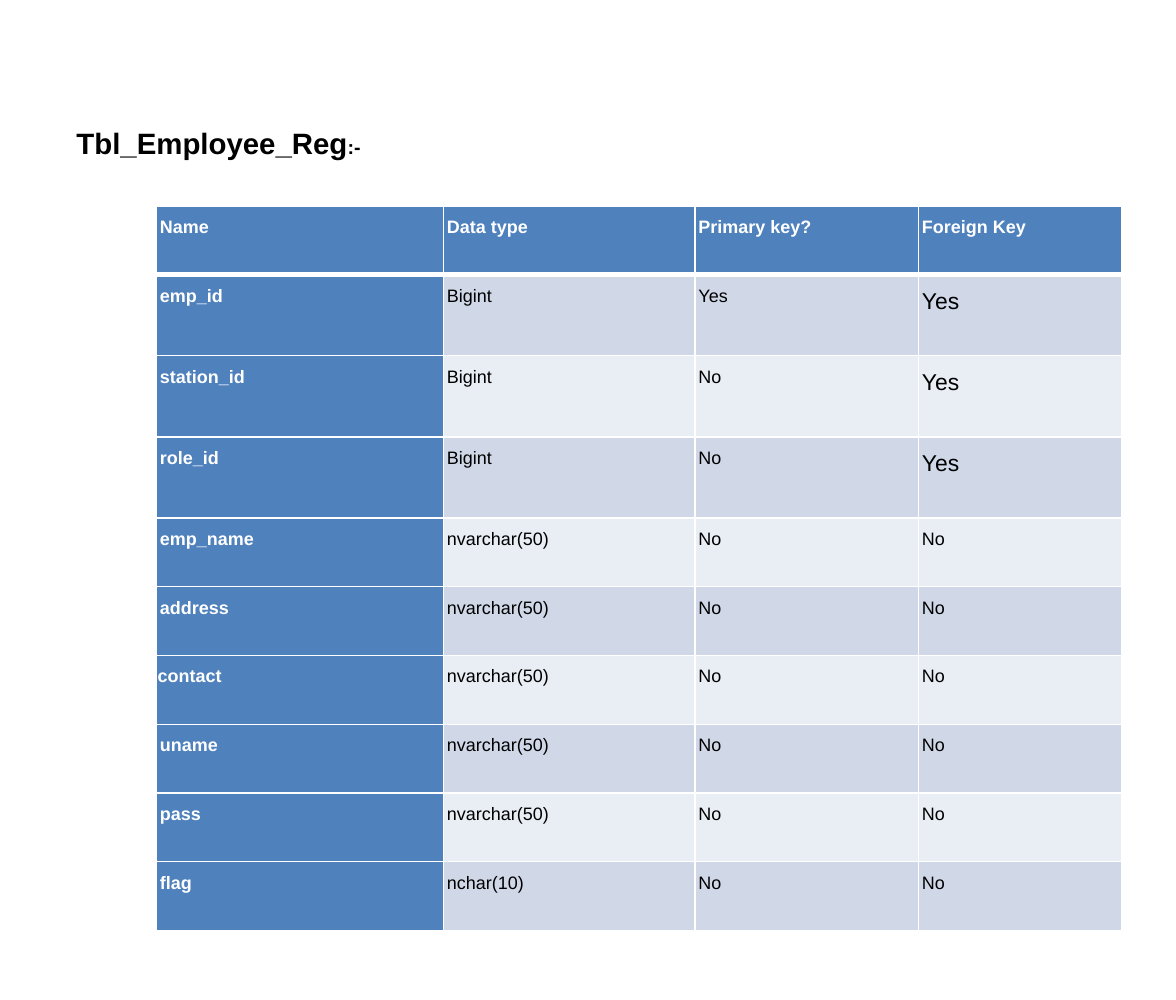
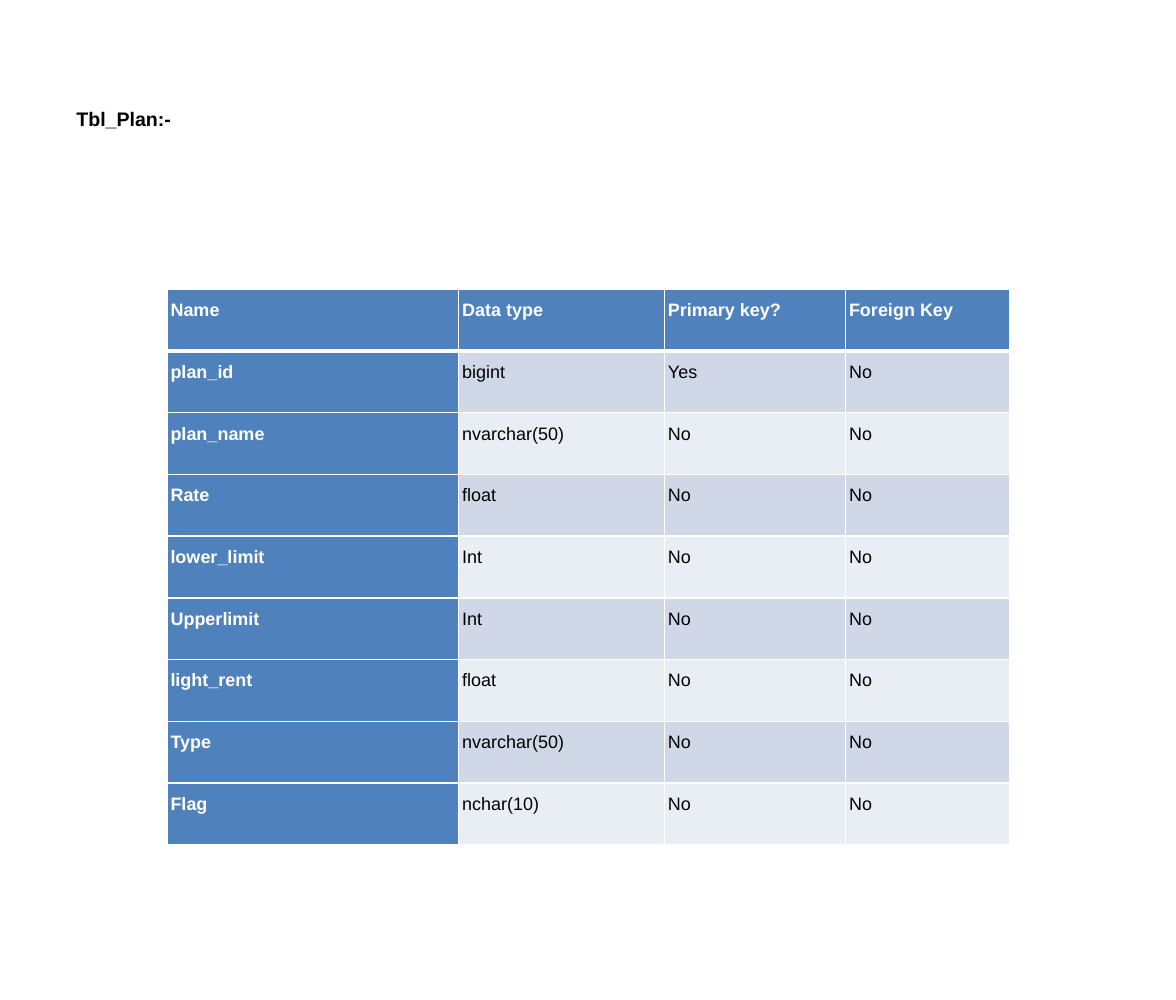
from dataclasses import dataclass
from lxml.etree import SubElement
from pptx import Presentation
from pptx.dml.color import RGBColor
from pptx.enum.text import MSO_ANCHOR, MSO_AUTO_SIZE, PP_ALIGN
from pptx.oxml.ns import qn
from pptx.util import Inches, Pt


@dataclass(frozen=True)
class Theme:
    font: str = "Arial"
    ink: RGBColor = RGBColor.from_string("000000")
    paper: RGBColor = RGBColor.from_string("FFFFFF")
    key_fill: RGBColor = RGBColor.from_string("4F81BD")
    bands: tuple = (RGBColor.from_string("D0D8E8"), RGBColor.from_string("E9EDF4"))
    title: int = 18
    label: int = 12
    cell: int = 11
    linked_key: int = 14
    rule: int = 1
    header_rule: int = 3


theme = Theme()
deck = Presentation()
deck.slide_width, deck.slide_height = Inches(10), Inches(8.5)
column, row = deck.slide_width / 100, deck.slide_height / 85
title_left = 5.5
tall_row = 6.9
cell_inset, text_indent = Inches(0.01), Inches(0.02)
header = ("Name", "Data type", "Primary key?", "Foreign Key")

schemas = [
    {
        "title": [("Tbl_Employee_Reg", theme.title), (":-", theme.label)],
        "title_top": 10.1, "title_width": 26.4, "title_height": 4,
        "left": 13.3, "top": 17.5, "height": 61.6,
        "widths": (24.4, 21.4, 19, 17.3),
        "linked": ("emp_id", "station_id", "role_id"),
        "fields": [
            ("emp_id", "Bigint", "Yes", "Yes"),
            ("station_id", "Bigint", "No", "Yes"),
            ("role_id", "Bigint", "No", "Yes"),
            ("emp_name", "nvarchar(50)", "No", "No"),
            ("address", "nvarchar(50)", "No", "No"),
            ("contact", "nvarchar(50)", "No", "No"),
            ("uname", "nvarchar(50)", "No", "No"),
            ("pass", "nvarchar(50)", "No", "No"),
            ("flag", "nchar(10)", "No", "No"),
        ],
    },
    {
        "title": [("Tbl_Plan:-", theme.label)],
        "title_top": 8.6, "title_width": 10.2, "title_height": 7.1,
        "left": 14.2, "top": 24.6, "height": 47.2,
        "widths": (24.8, 17.5, 15.4, 14),
        "linked": (),
        "fields": [
            ("plan_id", "bigint", "Yes", "No"),
            ("plan_name", "nvarchar(50)", "No", "No"),
            ("Rate", "float", "No", "No"),
            ("lower_limit", "Int", "No", "No"),
            ("Upperlimit", "Int", "No", "No"),
            ("light_rent", "float", "No", "No"),
            ("Type", "nvarchar(50)", "No", "No"),
            ("Flag", "nchar(10)", "No", "No"),
        ],
    },
]


def add_span(para, text, size, color, bold):
    span = para.add_run()
    span.text = text
    span.font.name = theme.font
    span.font.size = Pt(size)
    span.font.bold = bold
    span.font.color.rgb = color


def add_borders(cell, top, bottom):
    properties = cell._tc.get_or_add_tcPr()
    for side, points in (("L", theme.rule), ("R", theme.rule), ("T", top), ("B", bottom)):
        line = SubElement(properties, qn(f"a:ln{side}"), w=str(Pt(points)))
        fill = SubElement(line, qn("a:solidFill"))
        SubElement(fill, qn("a:srgbClr"), val=str(theme.paper))


for schema in schemas:
    page = deck.slides.add_slide(deck.slide_layouts[5])

    box = page.shapes.title
    box.left, box.top = int(title_left * column), int(schema["title_top"] * row)
    box.width, box.height = int(schema["title_width"] * column), int(schema["title_height"] * row)
    frame = box.text_frame
    frame.word_wrap = False
    frame.auto_size = MSO_AUTO_SIZE.NONE
    frame.vertical_anchor = MSO_ANCHOR.TOP
    para = frame.paragraphs[0]
    para.alignment = PP_ALIGN.LEFT
    for text, size in schema["title"]:
        add_span(para, text, size, theme.ink, True)

    records = [header] + schema["fields"]
    tall_count = len(schema["linked"])
    plain_row = (schema["height"] - tall_count * tall_row) / (len(records) - tall_count)
    table = page.shapes.add_table(
        len(records), len(header),
        int(schema["left"] * column), int(schema["top"] * row),
        int(sum(schema["widths"]) * column), int(schema["height"] * row),
    ).table
    table.first_col = True
    table.horz_banding = False
    for table_column, width in zip(table.columns, schema["widths"]):
        table_column.width = int(width * column)

    for record_index, record in enumerate(records):
        linked = record[0] in schema["linked"]
        table.rows[record_index].height = int((tall_row if linked else plain_row) * row)
        for field_index, text in enumerate(record):
            cell = table.cell(record_index, field_index)
            is_key = record_index == 0 or field_index == 0
            add_borders(
                cell,
                theme.header_rule if record_index == 1 else theme.rule,
                theme.header_rule if record_index == 0 else theme.rule,
            )
            cell.fill.solid()
            cell.fill.fore_color.rgb = theme.key_fill if is_key else theme.bands[(record_index - 1) % 2]
            cell.margin_left = cell.margin_right = cell_inset
            cell.margin_top = cell.margin_bottom = cell_inset
            para = cell.text_frame.paragraphs[0]
            para.line_spacing = 1.5
            if text != "contact":
                para._p.get_or_add_pPr().set("marL", str(text_indent))
            size = theme.linked_key if linked and field_index == 3 else theme.cell
            add_span(para, text, size, theme.paper if is_key else theme.ink, is_key)

deck.save("out.pptx")
